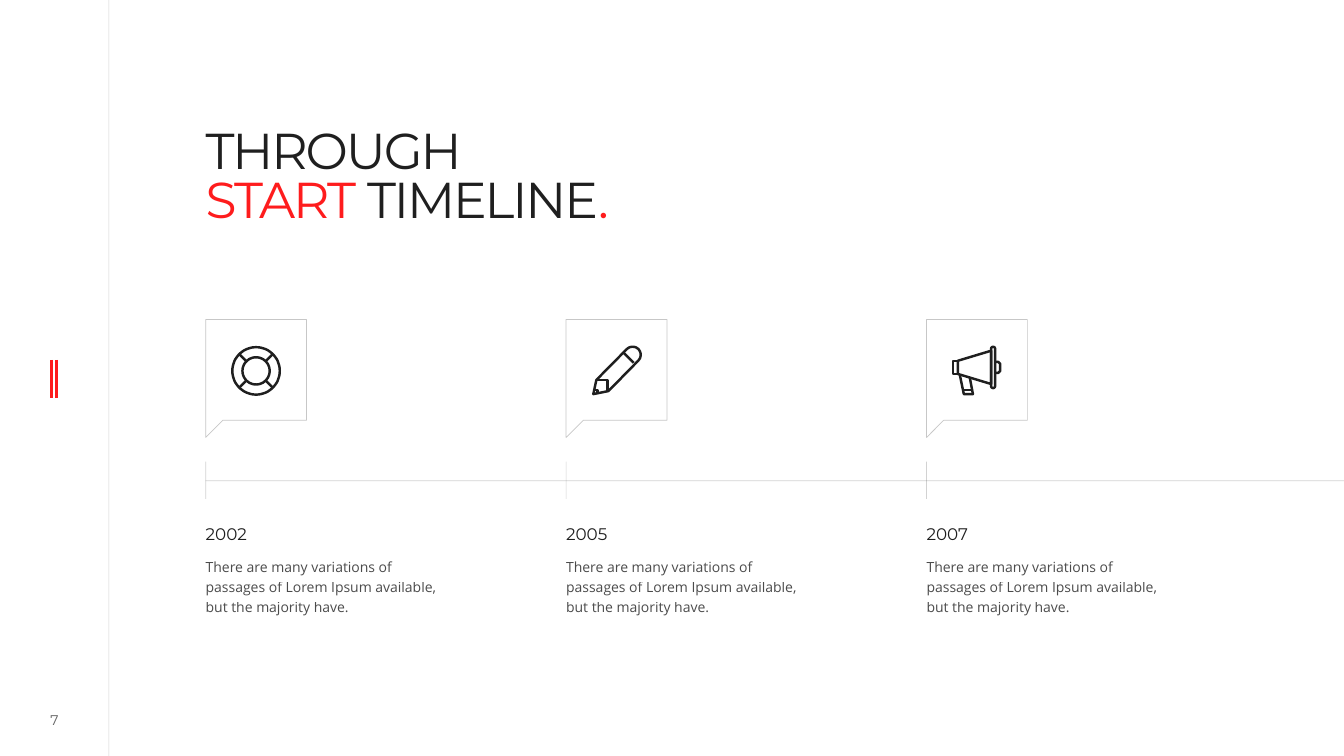
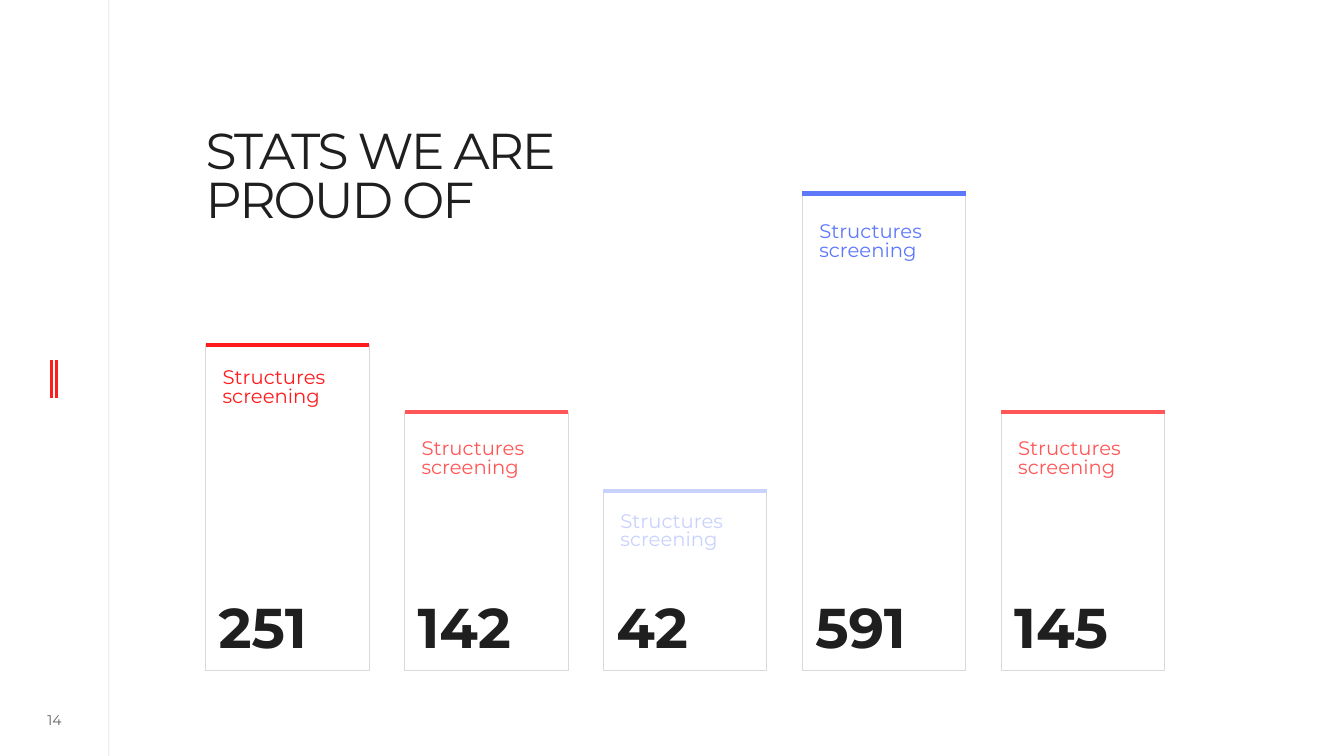
from math import cos, sin, radians
from lxml.etree import SubElement
from pptx import Presentation
from pptx.dml.color import RGBColor
from pptx.enum.shapes import MSO_CONNECTOR as LINK, MSO_SHAPE as SHAPE
from pptx.enum.text import MSO_ANCHOR as ANCHOR, PP_ALIGN as ALIGN
from pptx.oxml.ns import qn
from pptx.util import Inches, Pt

WIDE, HIGH = 13.33, 7.5
LEFT = 2.04
INK, RED, CORAL, BLUE, PALE = "1F1F1F", "FE1C1D", "FF5757", "5E78FA", "C9D2FD"
EDGE, FRAME = "C7C7C7", "D9D9D9"
HEAD, BODY = "Montserrat", "Open Sans"

LOREM = ("There are many variations of passages of Lorem Ipsum available, "
         "but the majority have.")
START = [[("THROUGH", INK)],
         [("START", RED), (" TIMELINE", INK), (".", RED)]]
STATS = [[("STATS WE ARE", INK)], [("PROUD OF", INK)]]

LABEL = ("Structures", "screening")
# value, top of bar, gap above label, colour
BARS = [("251", 3.42, 0.2, RED), ("142", 4.09, 0.23, CORAL),
        ("42", 4.87, 0.17, PALE), ("591", 1.92, 0.25, BLUE),
        ("145", 4.09, 0.23, CORAL)]


def arc(x, y, r, start, end, steps=24):
    """Points along a circle, angles in degrees, clockwise on screen."""
    turns = [radians(start + (end - start) * i / steps) for i in range(steps + 1)]
    return [(x + r * cos(t), y + r * sin(t)) for t in turns]


# Icons are strokes (points, closed) inside a half-inch square
BUOY = [(arc(0.25, 0.25, r, 0, 360, 60), True) for r in (0.235, 0.135)]
BUOY += [([arc(0.25, 0.25, r, a, a, 1)[0] for r in (0.135, 0.235)], False)
         for a in (45, 135, 225, 315)]
PENCIL = [
    (arc(0.41, 0.09, 0.08, -135, 45)
     + [(0.17, 0.45), (0.02, 0.48), (0.05, 0.34)], True),
    ([(0.32, 0.07), (0.42, 0.17)], False),
    ([(0.05, 0.34), (0.16, 0.34), (0.16, 0.45)], False),
    ([(0.03, 0.44), (0.06, 0.44), (0.06, 0.47)], False),
]
HORN = [
    ([(0.01, 0.15), (0.06, 0.15), (0.06, 0.28), (0.01, 0.28)], True),
    ([(0.06, 0.15), (0.39, 0.05), (0.39, 0.38), (0.06, 0.28)], True),
    (arc(0.41, 0.03, 0.02, 180, 360) + arc(0.41, 0.4, 0.02, 0, 180), True),
    ([(0.43, 0.16), (0.46, 0.16), (0.48, 0.18),
      (0.48, 0.25), (0.46, 0.27), (0.43, 0.27)], False),
    ([(0.08, 0.29), (0.12, 0.48), (0.21, 0.48), (0.18, 0.32)], False),
    ([(0.11, 0.44), (0.2, 0.44)], False),
]
STEPS = [("2002", BUOY), ("2005", PENCIL), ("2007", HORN)]
BUBBLE = [(0, 0), (1, 0), (1, 1), (0.17, 1), (0, 1.17)]


def paint(hue):
    return RGBColor.from_string(hue)


def fade(shape, share):
    """Make every colour of the shape opaque by the given percentage."""
    for tone in shape._element.iter(qn("a:srgbClr")):
        SubElement(tone, qn("a:alpha")).set("val", str(share * 1000))


def stroke(shape, hue, width):
    shape.line.color.rgb = paint(hue)
    shape.line.width = Pt(width)


def rule(slide, x1, y1, x2, y2, hue=INK, width=0.5, share=100):
    link = slide.shapes.add_connector(
        LINK.STRAIGHT, Inches(x1), Inches(y1), Inches(x2), Inches(y2))
    stroke(link, hue, width)
    SubElement(link._element.spPr, qn("a:effectLst"))
    if share < 100:
        fade(link, share)


def trace(slide, x, y, points, closed, hue, width):
    """Draw an unfilled outline from points offset from x, y."""
    spots = [((x + dx) * 1000, (y + dy) * 1000) for dx, dy in points]
    pen = slide.shapes.build_freeform(*spots[0], scale=914.4)
    pen.add_line_segments(spots[1:], close=closed)
    shape = pen.convert_to_shape()
    shape.shadow.inherit = False
    shape.fill.background()
    stroke(shape, hue, width)


def write(slide, box, paras, size, face=HEAD, bold=False, space=None,
          inset=(0, 0.05, 0, 0.05), track=0, share=100):
    """Add text; each paragraph is a list of (words, colour) runs."""
    shape = slide.shapes.add_textbox(*map(Inches, box))
    frame = shape.text_frame
    frame.word_wrap = True
    (frame.margin_left, frame.margin_top,
     frame.margin_right, frame.margin_bottom) = map(Inches, inset)
    for i, runs in enumerate(paras):
        para = frame.add_paragraph() if i else frame.paragraphs[0]
        para.line_spacing = space
        for words, hue in runs:
            run = para.add_run()
            run.text = words
            font = run.font
            font.name, font.size, font.bold = face, Pt(size), bold
            font.color.rgb = paint(hue)
            if track:
                run._r.get_or_add_rPr().set("spc", str(track))
    if share < 100:
        fade(shape, share)
    return frame


def page(deck, number, title):
    """Add a slide with the side band, page number and title."""
    slide = deck.slides.add_slide(deck.slide_layouts[6])
    rule(slide, 1.08, 0, 1.08, HIGH, share=20)
    for x in (0.51, 0.56):
        rule(slide, x, 3.57, x, 3.95, RED, 2)
    foot = write(slide, (0.26, 7.02, 0.56, 0.25), [[(number, INK)]], 10,
                 inset=(0, 0, 0, 0), share=70)
    foot.vertical_anchor = ANCHOR.MIDDLE
    foot.paragraphs[0].alignment = ALIGN.CENTER
    write(slide, (LEFT, 1.09, 4.62, 1.77), title, 36, space=0.8,
          inset=(0, 0.21, 0, 0), track=-150)
    return slide


def timeline(deck):
    slide = page(deck, "7", START)
    top, axis, pitch = 3.17, 4.77, 3.575
    rule(slide, LEFT, axis, WIDE, axis, share=20)
    for i, (year, icon) in enumerate(STEPS):
        x = LEFT + i * pitch
        trace(slide, x, top, BUBBLE, True, EDGE, 0.5)
        for points, closed in icon:
            trace(slide, x + 0.25, top + 0.26, points, closed, INK, 1.75)
        rule(slide, x, axis - 0.19, x, axis + 0.18, share=20)
        write(slide, (x, 5.2, 2.35, 0.26), [[(year, INK)]], 12, space=0.7)
        write(slide, (x, 5.46, 2.35, 0.71), [[(LOREM, INK)]], 10, BODY,
              space=1.2, share=80)


def stats(deck):
    slide = page(deck, "14", STATS)
    base, width, pitch = 6.65, 1.62, 1.9725
    pad = (0.1, 0.05, 0.1, 0.05)
    for i, (value, top, gap, hue) in enumerate(BARS):
        x = LEFT + i * pitch
        bar = slide.shapes.add_shape(
            SHAPE.RECTANGLE, *map(Inches, (x, top, width, base - top)))
        bar.shadow.inherit = False
        bar.fill.background()
        stroke(bar, FRAME, 0.5)
        rule(slide, x, top, x + width, top, hue, 3)
        write(slide, (x + 0.07, top + gap, 1.55, 0.93),
              [[(word, hue)] for word in LABEL], 14, space=0.8, inset=pad)
        write(slide, (x + 0.03, 5.96, 1.59, 0.56), [[(value, INK)]], 40,
              bold=True, space=0.8, inset=pad)


def main():
    deck = Presentation()
    deck.slide_width, deck.slide_height = Inches(WIDE), Inches(HIGH)
    timeline(deck)
    stats(deck)
    deck.save("out.pptx")


if __name__ == "__main__":
    main()
